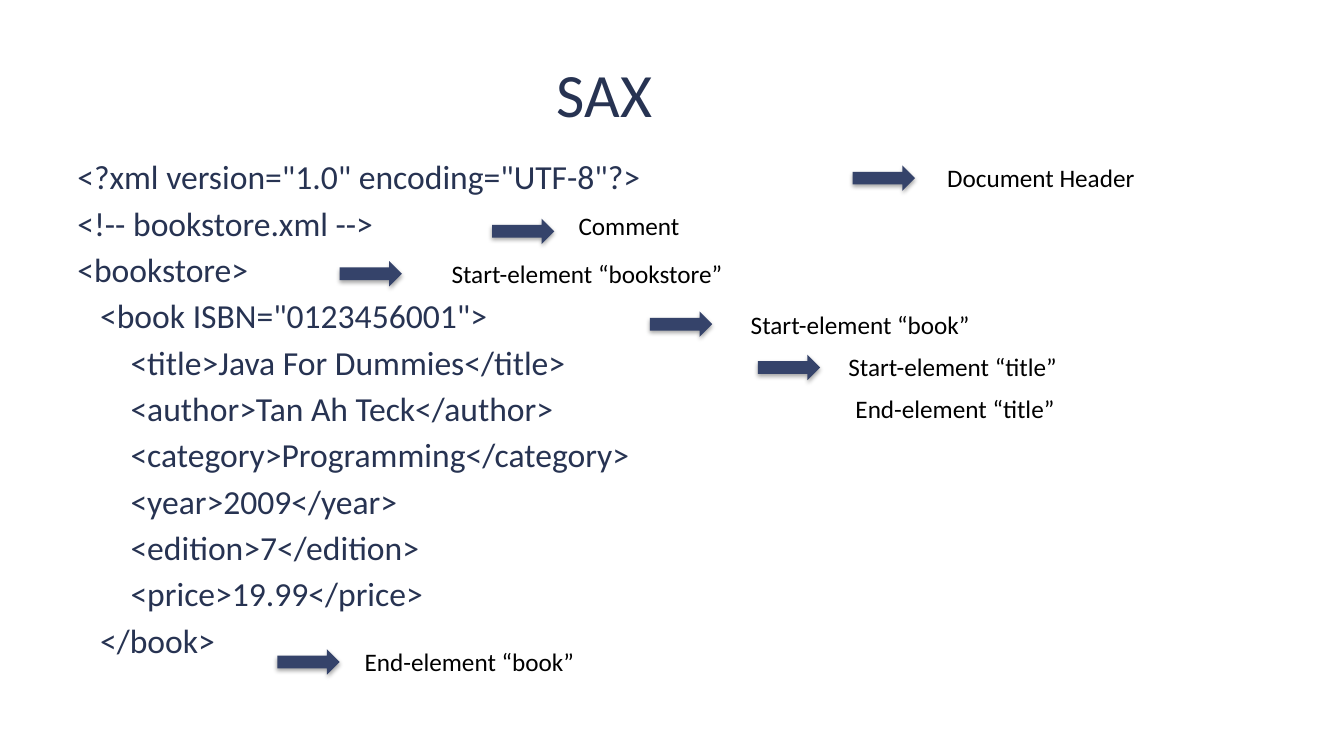
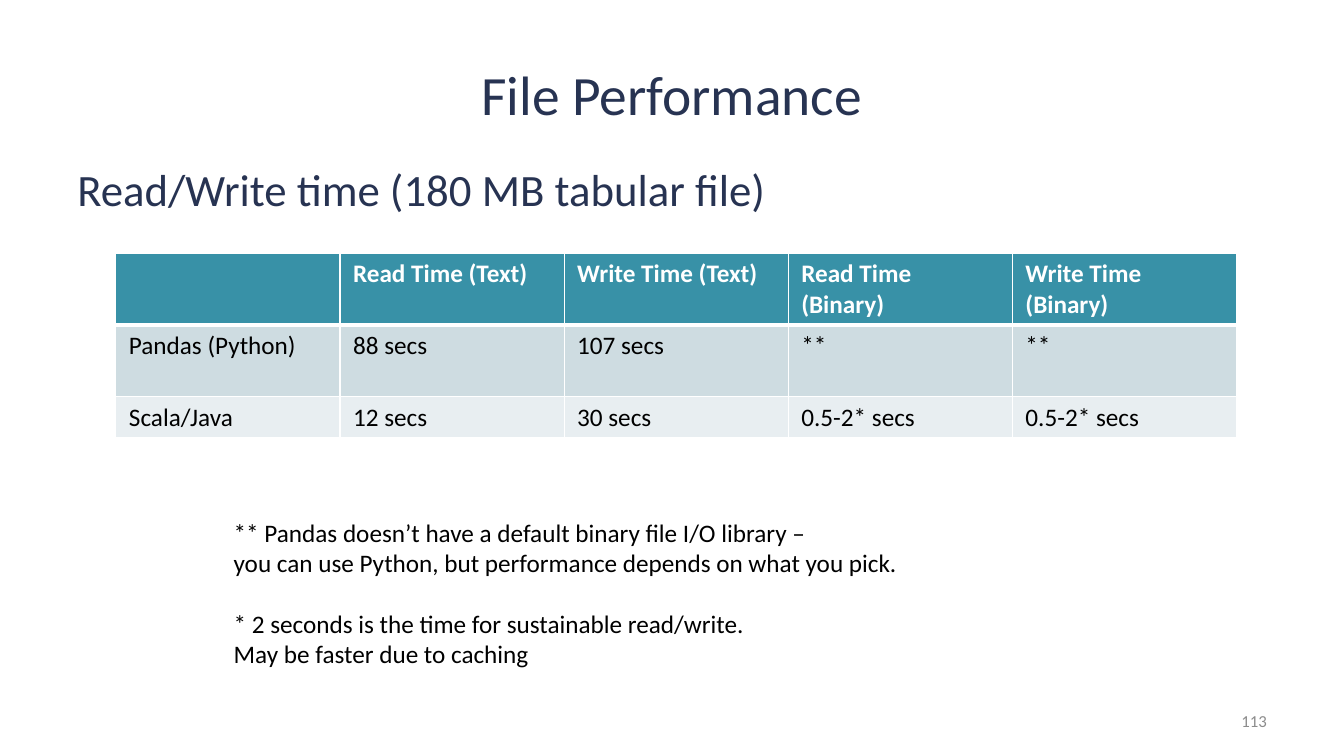
from lxml import etree
from pptx import Presentation
from pptx.dml.color import RGBColor
from pptx.enum.shapes import MSO_SHAPE
from pptx.enum.text import MSO_ANCHOR, PP_ALIGN
from pptx.oxml import parse_xml
from pptx.oxml.ns import nsdecls
from pptx.util import Cm, Pt

LEFT, CENTER, RIGHT = PP_ALIGN.LEFT, PP_ALIGN.CENTER, PP_ALIGN.RIGHT
TOP, MIDDLE = MSO_ANCHOR.TOP, MSO_ANCHOR.MIDDLE
RIGHT_ARROW = MSO_SHAPE.RIGHT_ARROW

FONT = "Calibri"
NAVY, ARROW_BLUE, BLACK, WHITE, GRAY = "273352", "35436A", "000000", "FFFFFF", "8C8C8C"
HEADER_TEAL, ROW_FILLS = "3891A7", ("CEDCE1", "E8EEF1")

CODE = [
    '<?xml version="1.0" encoding="UTF-8"?>',
    "<!-- bookstore.xml -->",
    "<bookstore>",
    '   <book ISBN="0123456001">',
    "       <title>Java For Dummies</title>",
    "       <author>Tan Ah Teck</author>",
    "       <category>Programming</category>",
    "       <year>2009</year>",
    "       <edition>7</edition>",
    "       <price>19.99</price>",
    "   </book>",
]

# Event name, arrow corner and label corner, in cm from the code box
EVENTS = [
    ("Document Header", (19.79, 0.36), (21.92, 0.15)),
    ("Comment", (10.7, 1.7), (12.63, 1.37)),
    ("Start-element “bookstore”", (6.86, 2.77), (9.43, 2.57)),
    ("Start-element “book”", (14.68, 4.04), (16.97, 3.86)),
    ("Start-element “title”", (17.4, 5.13), (19.43, 4.93)),
    ("End-element “title”", None, (19.61, 5.97)),
    ("End-element “book”", (5.29, 12.55), (7.24, 12.34)),
]

TIMINGS = [
    ["", "Read Time (Text)", "Write Time (Text)", "Read Time\n(Binary)", "Write Time\n(Binary)"],
    ["Pandas (Python)", "88 secs", "107 secs", "**", "**"],
    ["Scala/Java", "12 secs", "30 secs", "0.5-2* secs", "0.5-2* secs"],
]
ROW_HEIGHTS = (1.81, 1.81, 1.02)

NOTES = [
    "** Pandas doesn’t have a default binary file I/O library –\n"
    "you can use Python, but performance depends on what you pick.",
    "* 2 seconds is the time for sustainable read/write.\nMay be faster due to caching",
]


def color(hex_string):
    return RGBColor.from_string(hex_string)


def write(frame, paragraphs, size, ink, align=LEFT, gap=0, bold=False):
    """Fill a text frame; a line feed in a paragraph is a line break."""
    for index, content in enumerate(paragraphs):
        para = frame.add_paragraph() if index else frame.paragraphs[0]
        para.alignment = align
        para.space_before = Pt(gap if index else 0)
        for number, line in enumerate(content.split("\n")):
            if number:
                para.add_line_break()
            span = para.add_run()
            span.text = line
            span.font.name, span.font.size = FONT, Pt(size)
            span.font.bold = bold
            span.font.color.rgb = color(ink)


def add_text(page, box, paragraphs, size, ink, anchor=TOP, **style):
    frame = page.shapes.add_textbox(*map(Cm, box)).text_frame
    frame.word_wrap = True
    frame.vertical_anchor = anchor
    write(frame, paragraphs, size, ink, **style)


def add_title(page, box, title, size):
    add_text(page, box, [title], size, NAVY, MIDDLE, align=CENTER)


def add_arrow(page, left, top):
    arrow = page.shapes.add_shape(RIGHT_ARROW, Cm(left), Cm(top), Cm(1.57), Cm(0.64))
    arrow.fill.solid()
    arrow.fill.fore_color.rgb = color(ARROW_BLUE)
    arrow.line.fill.background()
    # Soft shadow straight below
    arrow.shadow.inherit = False
    arrow._element.spPr.remove(arrow._element.spPr[-1])
    arrow._element.spPr.append(parse_xml(
        f'<a:effectLst {nsdecls("a")}><a:outerShdw blurRad="40000" dist="23000" '
        'dir="5400000" rotWithShape="0"><a:srgbClr val="000000">'
        '<a:alpha val="35000"/></a:srgbClr></a:outerShdw></a:effectLst>'))


def add_events(page, box):
    left, top = box[:2]
    for event, arrow_at, label_at in EVENTS:
        if arrow_at:
            add_arrow(page, left + arrow_at[0], top + arrow_at[1])
        add_text(page, (left + label_at[0], top + label_at[1], 8, 1.02), [event], 18, BLACK)


def add_borders(cell, widths):
    properties = cell._tc.get_or_add_tcPr()
    for side, width in zip("LRTB", widths):
        border = parse_xml(
            f'<a:ln{side} {nsdecls("a")} w="{Pt(width)}"><a:solidFill/></a:ln{side}>')
        etree.SubElement(border[0], border[0].tag.replace("solidFill", "srgbClr"), val=WHITE)
        properties.append(border)


def add_timing_table(page, box):
    rows, columns = len(TIMINGS), len(TIMINGS[0])
    table = page.shapes.add_table(rows, columns, *map(Cm, box)).table
    for column in table.columns:
        column.width = Cm(box[2] / columns)
    for r, values in enumerate(TIMINGS):
        table.rows[r].height = Cm(ROW_HEIGHTS[r])
        is_header = r == 0
        for c, value in enumerate(values):
            cell = table.cell(r, c)
            cell.margin_left = cell.margin_right = Cm(0.33)
            cell.margin_top = cell.margin_bottom = Cm(0.13)
            add_borders(cell, (1, 1, 3 if r == 1 else 1, 3 if is_header else 1))
            cell.fill.solid()
            cell.fill.fore_color.rgb = color(HEADER_TEAL if is_header else ROW_FILLS[r - 1])
            if value:
                write(cell.text_frame, [value], 18, WHITE if is_header else BLACK, bold=is_header)


def build_sax_page(page):
    code_box = (1.7, 3.81, 30.48, 14.17)
    add_title(page, (0, 0.76, 30.48, 3.18), "SAX", 44)
    add_text(page, code_box, CODE, 24, NAVY, gap=4.3)
    add_events(page, code_box)


def build_performance_page(page):
    add_title(page, (2.06, 1.5, 29.74, 1.68), "File Performance", 39.6)
    add_text(page, (1.7, 3.96, 30.48, 2), ["Read/Write time (180 MB tabular file)"], 32, NAVY)
    add_timing_table(page, (2.92, 6.38, 28.24, sum(ROW_HEIGHTS)))
    # Footnotes, one line apart
    add_text(page, (5.64, 12.9, 18, 4.11), NOTES, 18, BLACK, gap=22)
    # Page number
    add_text(page, (24.28, 17.65, 7.9, 1.02), ["113"], 12, GRAY, MIDDLE, align=RIGHT)


def main():
    deck = Presentation()
    deck.slide_width, deck.slide_height = Cm(33.87), Cm(19.05)
    for build in (build_sax_page, build_performance_page):
        build(deck.slides.add_slide(deck.slide_layouts[6]))
    deck.save("out.pptx")


if __name__ == "__main__":
    main()
